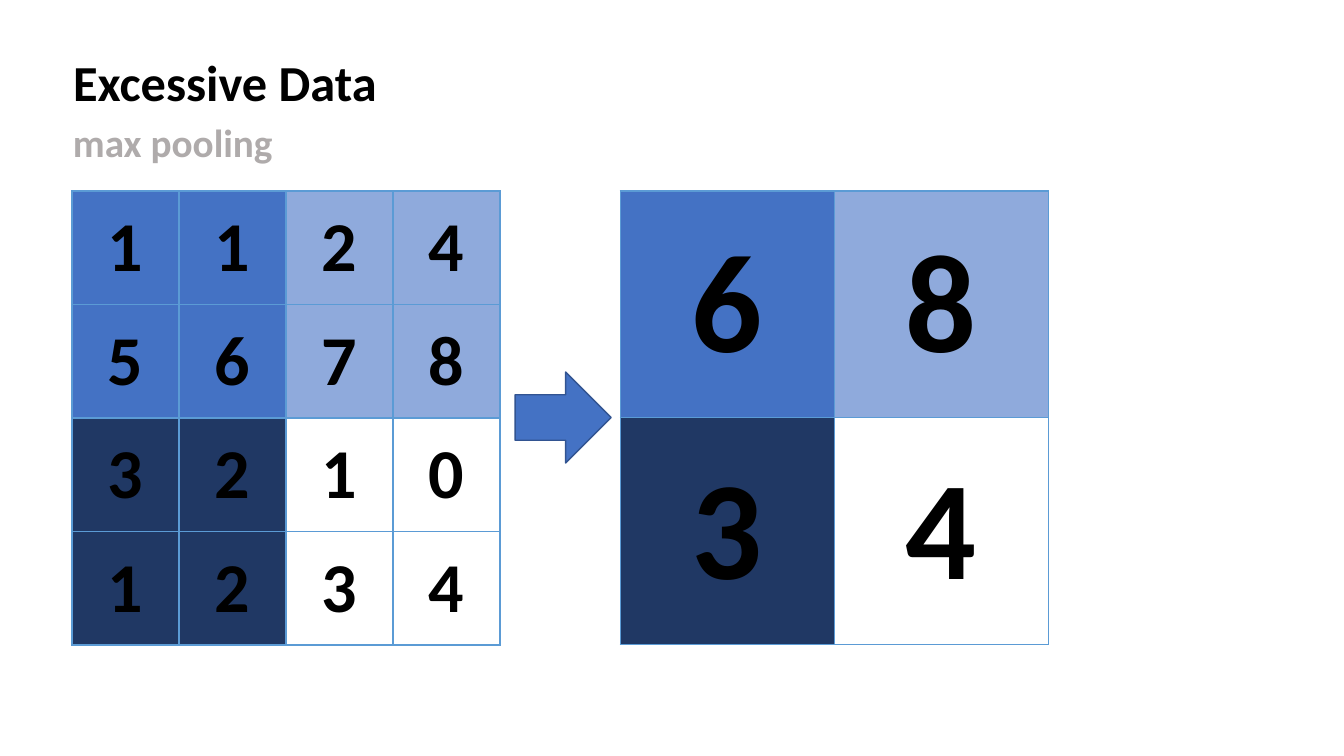
from lxml import etree
from pptx import Presentation
from pptx.dml.color import RGBColor
from pptx.enum.shapes import MSO_SHAPE
from pptx.enum.text import MSO_ANCHOR, MSO_AUTO_SIZE, PP_ALIGN
from pptx.oxml.ns import qn
from pptx.util import Inches, Pt

LEFT, CENTER = PP_ALIGN.LEFT, PP_ALIGN.CENTER
TOP, MIDDLE = MSO_ANCHOR.TOP, MSO_ANCHOR.MIDDLE
NO_AUTOFIT = MSO_AUTO_SIZE.NONE
RIGHT_ARROW = MSO_SHAPE.RIGHT_ARROW

BLACK = RGBColor(0x00, 0x00, 0x00)
GRAY = RGBColor(0xAF, 0xAB, 0xAB)
WHITE = RGBColor(0xFF, 0xFF, 0xFF)
BLUE = RGBColor(0x44, 0x72, 0xC4)
LIGHT_BLUE = RGBColor(0x8F, 0xAA, 0xDC)
NAVY = RGBColor(0x20, 0x38, 0x64)
GRID_BLUE = RGBColor(0x5B, 0x9B, 0xD5)
ARROW_EDGE = RGBColor(0x32, 0x54, 0x91)

TITLE = "Excessive Data"
SUBTITLE = "max pooling"
INPUT = [
    [1, 1, 2, 4],
    [5, 6, 7, 8],
    [3, 2, 1, 0],
    [1, 2, 3, 4],
]
POOLED = [
    [6, 8],
    [3, 4],
]
QUADRANT_FILLS = [
    [BLUE, LIGHT_BLUE],
    [NAVY, WHITE],
]

# Lengths in px
TITLE_BOX = (63, 46, 328, 132)
SUBTITLE_BOX = (63, 113, 222, 119)
GRID_TOP, GRID_WIDTH, GRID_HEIGHT = 191, 428, 452
INPUT_LEFT, POOLED_LEFT = 72, 620
ARROW_BOX = (515, 372, 96, 91)


def px(length):
    return round(length * 914400 / 100.8)


def write(frame, text, size, color=BLACK, align=LEFT):
    paragraph = frame.paragraphs[0]
    paragraph.text = text
    paragraph.alignment = align
    font = paragraph.font
    font.name, font.size, font.bold = "Calibri", Pt(size), True
    font.color.rgb = color


def write_heading(frame, text, size, color=BLACK):
    frame.word_wrap = True
    frame.auto_size = NO_AUTOFIT
    frame.vertical_anchor = TOP
    write(frame, text, size, color)


def add_borders(cell):
    properties = cell._tc.get_or_add_tcPr()
    for position, side in enumerate(("a:lnL", "a:lnR", "a:lnT", "a:lnB")):
        line = etree.Element(qn(side), w=str(Pt(1)))
        fill = etree.SubElement(line, qn("a:solidFill"))
        etree.SubElement(fill, qn("a:srgbClr"), val=str(GRID_BLUE))
        properties.insert(position, line)


def add_grid(slide, values, left, size, margin_x, margin_y):
    """Add a square number grid whose four quadrants each have one fill."""
    count = len(values)
    table = slide.shapes.add_table(
        count, count, px(left), px(GRID_TOP), px(GRID_WIDTH), px(GRID_HEIGHT)
    ).table
    table.first_row = table.horz_banding = False
    for row, numbers in enumerate(values):
        table.rows[row].height = px(GRID_HEIGHT / count)
        table.columns[row].width = px(GRID_WIDTH / count)
        for column, number in enumerate(numbers):
            cell = table.cell(row, column)
            cell.margin_left = cell.margin_right = px(margin_x)
            cell.margin_top = cell.margin_bottom = px(margin_y)
            cell.vertical_anchor = MIDDLE
            cell.fill.solid()
            cell.fill.fore_color.rgb = QUADRANT_FILLS[row * 2 // count][column * 2 // count]
            write(cell.text_frame, str(number), size, align=CENTER)
            add_borders(cell)


def main():
    deck = Presentation()
    deck.slide_width, deck.slide_height = Inches(13.33), Inches(7.5)
    slide = deck.slides.add_slide(deck.slide_layouts[5])

    title = slide.shapes.title
    title.left, title.top, title.width, title.height = map(px, TITLE_BOX)
    write_heading(title.text_frame, TITLE, 36)
    subtitle = slide.shapes.add_textbox(*map(px, SUBTITLE_BOX))
    write_heading(subtitle.text_frame, SUBTITLE, 28, GRAY)

    add_grid(slide, INPUT, INPUT_LEFT, size=50, margin_x=28, margin_y=14)
    add_grid(slide, POOLED, POOLED_LEFT, size=100, margin_x=55, margin_y=28)

    arrow = slide.shapes.add_shape(RIGHT_ARROW, *map(px, ARROW_BOX))
    arrow.shadow.inherit = False
    arrow.fill.solid()
    arrow.fill.fore_color.rgb = BLUE
    arrow.line.color.rgb = ARROW_EDGE
    arrow.line.width = Pt(1)

    deck.save("out.pptx")


if __name__ == "__main__":
    main()
